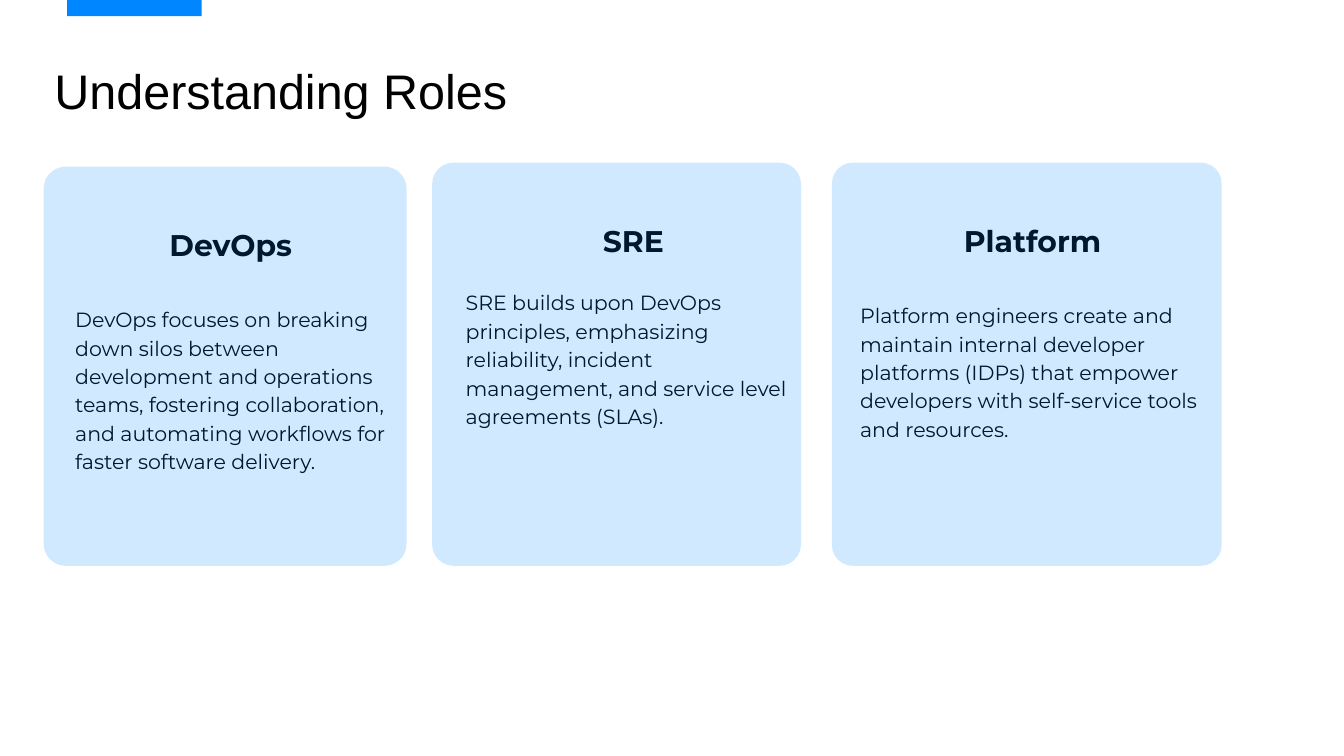
from dataclasses import dataclass

from lxml import etree
from pptx import Presentation
from pptx.dml.color import RGBColor
from pptx.enum.shapes import MSO_SHAPE as Shape
from pptx.enum.text import PP_ALIGN as Align
from pptx.oxml.ns import qn
from pptx.util import Inches, Pt

BLUE = RGBColor(0x00, 0x86, 0xFF)
BLACK = RGBColor(0x00, 0x00, 0x00)
CARD_BOTTOM = 8.42
CARD_OPACITY = 18  # percent


@dataclass
class Role:
    name: str
    summary: str
    card_left: float
    card_top: float
    card_width: float
    radius: float
    text_left: float
    text_top: float
    text_width: float
    gap: float  # points between name and summary


ROLES = [
    Role("DevOps",
         "DevOps focuses on breaking down silos between development and operations "
         "teams, fostering collaboration, and automating workflows for faster "
         "software delivery.",
         0.65, 2.48, 5.4, 0.33, 1.12, 3.29, 4.63, 44.1),
    Role("SRE",
         "SRE builds upon DevOps principles, emphasizing reliability, incident "
         "management, and service level agreements (SLAs).",
         6.43, 2.42, 5.49, 0.32, 6.93, 3.23, 4.99, 30.4),
    Role("Platform",
         "Platform engineers create and maintain internal developer platforms (IDPs) "
         "that empower developers with self-service tools and resources.",
         12.38, 2.42, 5.8, 0.31, 12.8, 3.23, 5.13, 44.2),
]


def add_box(page, left: float, top: float, width: float, height: float):
    """Add an empty, wrapping text box without margins."""
    box = page.shapes.add_textbox(Inches(left), Inches(top), Inches(width), Inches(height))
    frame = box.text_frame
    frame.word_wrap = True
    frame.margin_left = frame.margin_top = frame.margin_right = frame.margin_bottom = 0
    return frame


def write(para, text: str, *, font: str, size: float, line: float,
          bold: bool = False, align=Align.LEFT, before: float = 0) -> None:
    para.alignment = align
    para.line_spacing = Pt(line)
    if before:
        para.space_before = Pt(before)
    span = para.add_run()
    span.text = text
    span.font.name = font
    span.font.size = Pt(size)
    span.font.bold = bold
    span.font.color.rgb = BLACK


def add_panel(page, kind, left: float, top: float, width: float, height: float):
    """Add a borderless blue shape."""
    panel = page.shapes.add_shape(kind, Inches(left), Inches(top), Inches(width), Inches(height))
    panel.shadow.inherit = False
    panel.fill.solid()
    panel.fill.fore_color.rgb = BLUE
    panel.line.fill.background()
    return panel


def add_role(page, role: Role) -> None:
    # Name and summary
    frame = add_box(page, role.text_left, role.text_top, role.text_width, 4.95)
    write(frame.paragraphs[0], role.name, font="Montserrat", size=32, line=44.2,
          bold=True, align=Align.CENTER)
    write(frame.add_paragraph(), role.summary, font="Montserrat", size=22, line=30.4,
          before=role.gap)

    # Translucent card, which tints the text beneath it
    height = CARD_BOTTOM - role.card_top
    card = add_panel(page, Shape.ROUNDED_RECTANGLE, role.card_left, role.card_top,
                     role.card_width, height)
    card.adjustments[0] = role.radius / min(role.card_width, height)
    color = card.fill._xPr.find(qn("a:solidFill"))[0]
    etree.SubElement(color, qn("a:alpha")).set("val", str(CARD_OPACITY * 1000))


def main() -> None:
    deck = Presentation()
    deck.slide_width, deck.slide_height = Inches(20), Inches(11.25)
    page = deck.slides.add_slide(deck.slide_layouts[6])

    # Accent bar and title
    add_panel(page, Shape.RECTANGLE, 1, 0, 2, 0.24)
    title = add_box(page, 0.81, 0.91, 17.38, 0.89)
    write(title.paragraphs[0], "Understanding Roles", font="Arial", size=52, line=62.4)

    # Role cards
    for role in ROLES:
        add_role(page, role)

    deck.save("out.pptx")


if __name__ == "__main__":
    main()
